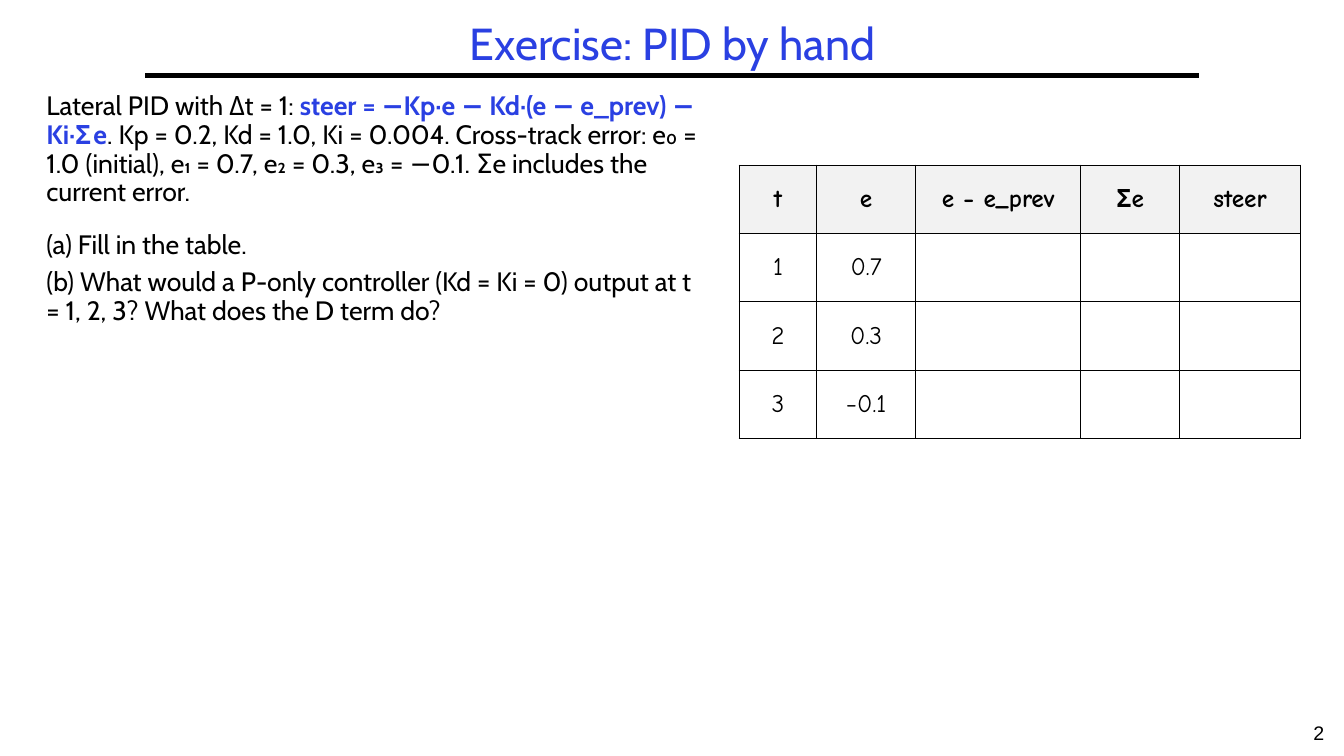
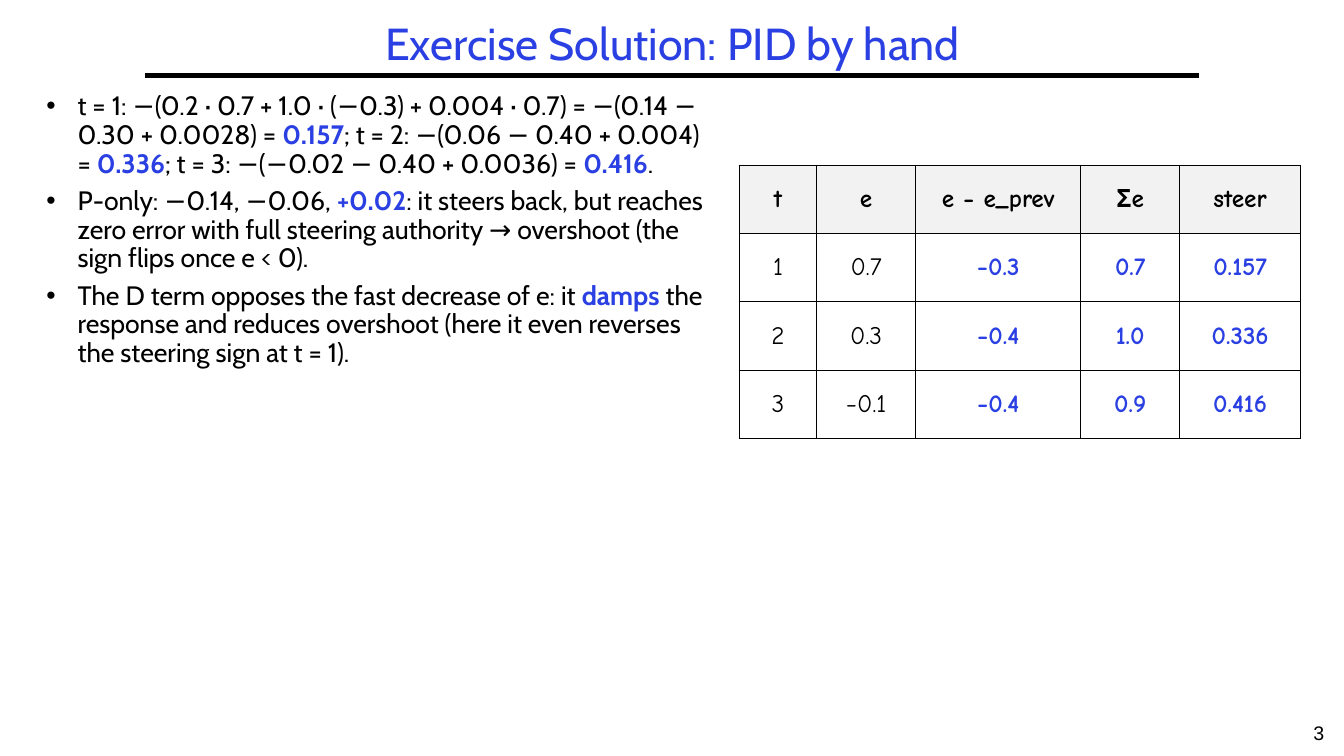
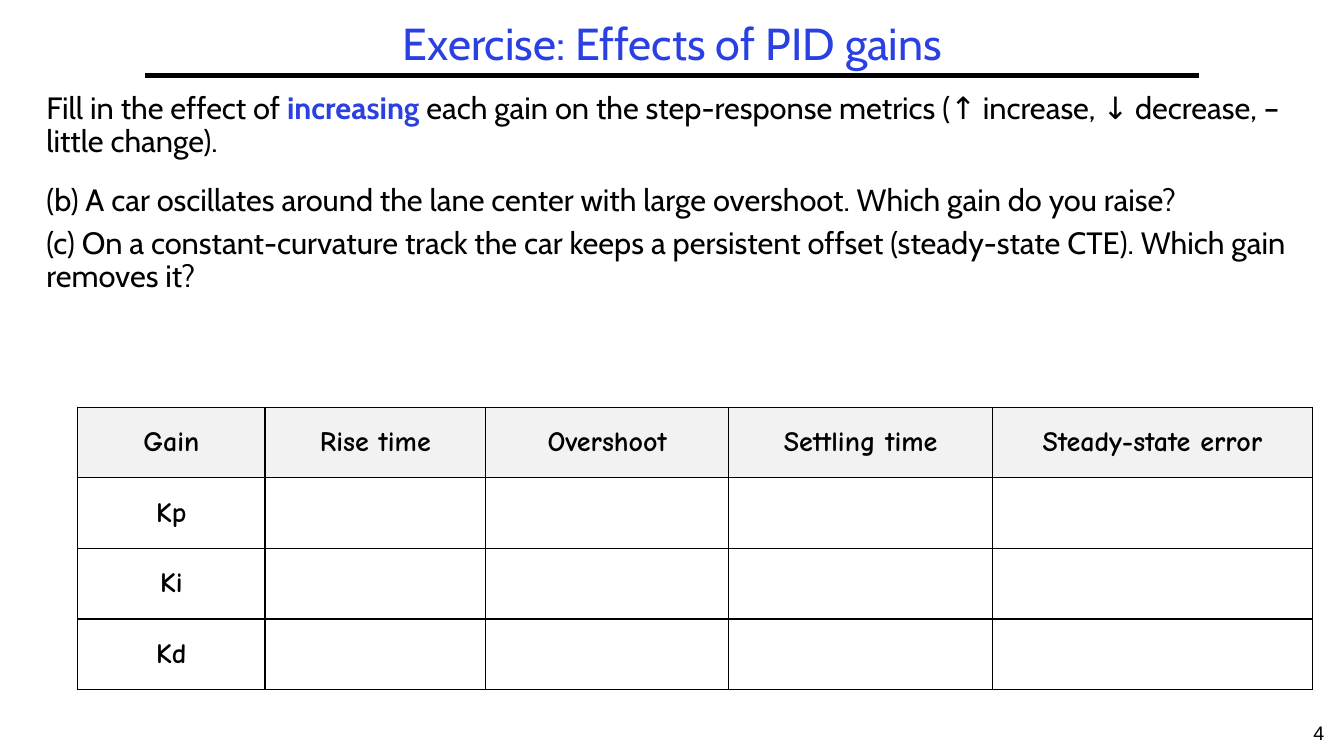
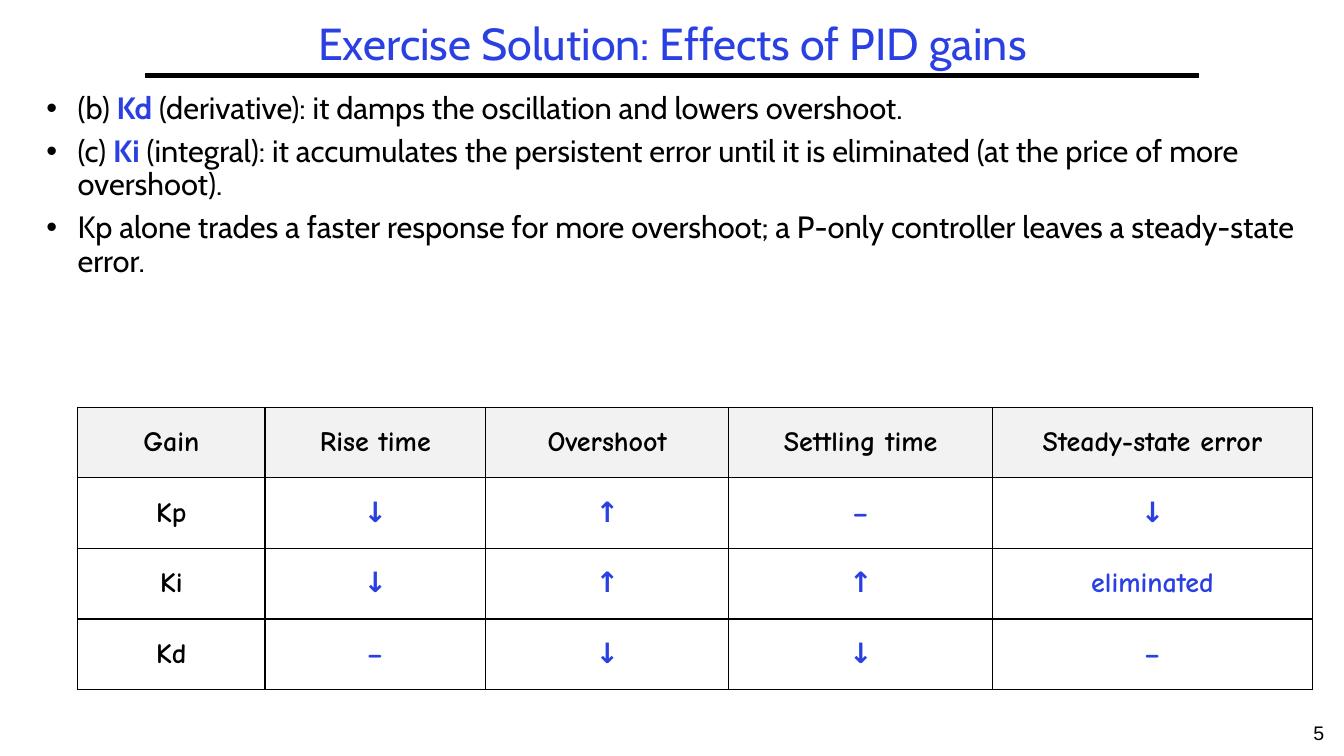
from lxml import etree
from pptx import Presentation
from pptx.dml.color import RGBColor
from pptx.enum.shapes import MSO_CONNECTOR
from pptx.enum.text import MSO_ANCHOR, MSO_AUTO_SIZE, PP_ALIGN
from pptx.oxml.ns import qn
from pptx.util import Emu, Inches, Pt

CENTER = PP_ALIGN.CENTER
LEFT = PP_ALIGN.LEFT
MIDDLE = MSO_ANCHOR.MIDDLE
TOP = MSO_ANCHOR.TOP
NO_FIT = MSO_AUTO_SIZE.NONE
STRAIGHT = MSO_CONNECTOR.STRAIGHT

WIDTH, HEIGHT = Inches(13.33), Inches(7.5)
COLUMNS, ROWS = 40, 30
TITLE_AND_CONTENT = 1
FIRST_PAGE = 2
BULLET_INDENT = Inches(0.31)
PART_GAP = 11

BLACK, BLUE, GRAY = "000000", "2A40E2", "F2F2F2"
HEADING_FONT, TABLE_FONT, PAGE_FONT = "Cabin", "Comic Neue", "Arial"


def col(count):
    return Emu(round(WIDTH * count / COLUMNS))


def row(count):
    return Emu(round(HEIGHT * count / ROWS))


def color(hex_code):
    return RGBColor.from_string(hex_code)


def write(paragraph, text, font=HEADING_FONT, size=18, ink=BLACK, bold=False, align=LEFT):
    paragraph.alignment = align
    for index, piece in enumerate(text.split("*")):
        if not piece:
            continue
        stressed = index % 2 == 1
        run = paragraph.add_run()
        run.text = piece
        run.font.name = font
        run.font.size = Pt(size)
        run.font.bold = bold or stressed
        run.font.color.rgb = color(BLUE if stressed else ink)


def set_bullet(paragraph, bulleted):
    properties = paragraph._p.get_or_add_pPr()
    indent = BULLET_INDENT if bulleted else 0
    properties.set("marL", str(indent))
    properties.set("indent", str(-indent))
    if bulleted:
        etree.SubElement(properties, qn("a:buFont"), typeface="Arial")
        etree.SubElement(properties, qn("a:buChar"), char="•")
    else:
        etree.SubElement(properties, qn("a:buNone"))


def set_borders(cell, ink=BLACK, width=1):
    properties = cell._tc.get_or_add_tcPr()
    for side in ("a:lnL", "a:lnR", "a:lnT", "a:lnB"):
        line = etree.SubElement(properties, qn(side), w=str(Pt(width)))
        fill = etree.SubElement(line, qn("a:solidFill"))
        etree.SubElement(fill, qn("a:srgbClr"), val=ink)


class Deck:
    def __init__(self):
        self.presentation = Presentation()
        self.presentation.slide_width = WIDTH
        self.presentation.slide_height = HEIGHT
        self.page = FIRST_PAGE
        self.slide = None

    def start(self, heading):
        layout = self.presentation.slide_layouts[TITLE_AND_CONTENT]
        self.slide = self.presentation.slides.add_slide(layout)
        self.rule()
        self.page_number()
        frame = self.place(self.slide.shapes.title, 4.32, 0.68, 31.4, 2.32, MIDDLE)
        frame.paragraphs[0].line_spacing = 0.9
        write(frame.paragraphs[0], heading, size=32, ink=BLUE, align=CENTER)

    def place(self, shape, left, top, width, height, anchor=TOP):
        shape.left, shape.top = col(left), row(top)
        shape.width, shape.height = col(width), row(height)
        frame = shape.text_frame
        frame.word_wrap = True
        frame.auto_size = NO_FIT
        frame.vertical_anchor = anchor
        return frame

    def rule(self):
        line = self.slide.shapes.add_connector(STRAIGHT, col(4.32), row(3), col(35.67), row(3))
        line.line.color.rgb = color(BLACK)
        line.line.width = Pt(3)
        etree.SubElement(line._element.spPr, qn("a:effectLst"))

    def page_number(self):
        box = self.slide.shapes.add_textbox(col(38.5), row(28.4), col(1.5), row(1.6))
        box.text_frame.word_wrap = True
        write(box.text_frame.paragraphs[0], str(self.page), font=PAGE_FONT, size=14, align=CENTER)
        self.page += 1

    def body(self, paragraphs, width, height, size, bulleted):
        frame = self.place(self.slide.placeholders[1], 1.08, 3.48, width, height)
        for index, text in enumerate(paragraphs):
            paragraph = frame.add_paragraph() if index else frame.paragraphs[0]
            set_bullet(paragraph, bulleted)
            space = size * 0.32 if index else 0
            if index == 1 and not bulleted:
                space += PART_GAP
            paragraph.space_before = Pt(space)
            paragraph.line_spacing = 0.9
            write(paragraph, text, size=size)

    def table(self, header, given, answers, left, top, widths, row_height, size, bold_given):
        blank = [""] * (len(header) - len(given[0]))
        lines = [header]
        for index, known in enumerate(given):
            lines.append([*known, *(answers[index] if answers else blank)])
        table = self.slide.shapes.add_table(
            len(lines), len(header), col(left), row(top),
            col(sum(widths)), row(row_height * len(lines))).table
        table.first_row = table.horz_banding = False
        for column, width in zip(table.columns, widths):
            column.width = col(width)
        for r, values in enumerate(lines):
            table.rows[r].height = row(row_height)
            for c, value in enumerate(values):
                is_header, is_answer = r == 0, r > 0 and c >= len(given[0])
                cell = table.cell(r, c)
                set_borders(cell)
                cell.vertical_anchor = MIDDLE
                cell.margin_left = cell.margin_right = Inches(0.07)
                cell.margin_top = cell.margin_bottom = Inches(0.03)
                if is_header:
                    cell.fill.solid()
                    cell.fill.fore_color.rgb = color(GRAY)
                else:
                    cell.fill.background()
                write(cell.text_frame.paragraphs[0], value, font=TABLE_FONT, size=size,
                      ink=BLUE if is_answer else BLACK,
                      bold=is_header or is_answer or bold_given, align=CENTER)


PID_BODY = dict(width=20.34, height=24.04, size=19)
PID_TABLE = dict(
    header=["t", "e", "e − e_prev", "Σe", "steer"],
    given=[["1", "0.7"], ["2", "0.3"], ["3", "−0.1"]],
    left=22, top=6.56, widths=[2.31, 2.94, 4.92, 2.94, 3.6],
    row_height=2.71, size=18, bold_given=False)
GAINS_BODY = dict(width=37.74, height=12.24, size=22)
GAINS_TABLE = dict(
    header=["Gain", "Rise time", "Overshoot", "Settling time", "Steady-state error"],
    given=[["Kp"], ["Ki"], ["Kd"]],
    left=2.31, top=16.16, widths=[5.58, 6.57, 7.23, 7.86, 9.51],
    row_height=2.8, size=20, bold_given=True)

EXERCISES = [
    dict(
        topic="PID by hand", body=PID_BODY, table=PID_TABLE,
        task=[
            "Lateral PID with Δt = 1: *steer = −Kp·e − Kd·(e − e_prev) − Ki·Σe*. "
            "Kp = 0.2, Kd = 1.0, Ki = 0.004. Cross-track error: e₀ = 1.0 (initial), "
            "e₁ = 0.7, e₂ = 0.3, e₃ = −0.1. Σe includes the current error.",
            "(a) Fill in the table.",
            "(b) What would a P-only controller (Kd = Ki = 0) output at t = 1, 2, 3? "
            "What does the D term do?",
        ],
        solution=[
            "t = 1: −(0.2 · 0.7 + 1.0 · (−0.3) + 0.004 · 0.7) = −(0.14 − 0.30 + 0.0028) = "
            "*0.157*; t = 2: −(0.06 − 0.40 + 0.004) = *0.336*; "
            "t = 3: −(−0.02 − 0.40 + 0.0036) = *0.416*.",
            "P-only: −0.14, −0.06, *+0.02*: it steers back, but reaches zero error with full "
            "steering authority → overshoot (the sign flips once e < 0).",
            "The D term opposes the fast decrease of e: it *damps* the response and reduces "
            "overshoot (here it even reverses the steering sign at t = 1).",
        ],
        answers=[["−0.3", "0.7", "0.157"], ["−0.4", "1.0", "0.336"], ["−0.4", "0.9", "0.416"]],
    ),
    dict(
        topic="Effects of PID gains", body=GAINS_BODY, table=GAINS_TABLE,
        task=[
            "Fill in the effect of *increasing* each gain on the step-response metrics "
            "(↑ increase, ↓ decrease, – little change).",
            "(b) A car oscillates around the lane center with large overshoot. "
            "Which gain do you raise?",
            "(c) On a constant-curvature track the car keeps a persistent offset "
            "(steady-state CTE). Which gain removes it?",
        ],
        solution=[
            "(b) *Kd* (derivative): it damps the oscillation and lowers overshoot.",
            "(c) *Ki* (integral): it accumulates the persistent error until it is eliminated "
            "(at the price of more overshoot).",
            "Kp alone trades a faster response for more overshoot; a P-only controller leaves "
            "a steady-state error.",
        ],
        answers=[["↓", "↑", "–", "↓"], ["↓", "↑", "↑", "eliminated"], ["–", "↓", "↓", "–"]],
    ),
]


def main():
    deck = Deck()
    for exercise in EXERCISES:
        for label, part, answers in (("Exercise", "task", None),
                                     ("Exercise Solution", "solution", exercise["answers"])):
            deck.start(f"{label}: {exercise['topic']}")
            deck.body(exercise[part], bulleted=part == "solution", **exercise["body"])
            deck.table(answers=answers, **exercise["table"])
    deck.presentation.save("out.pptx")


if __name__ == "__main__":
    main()
